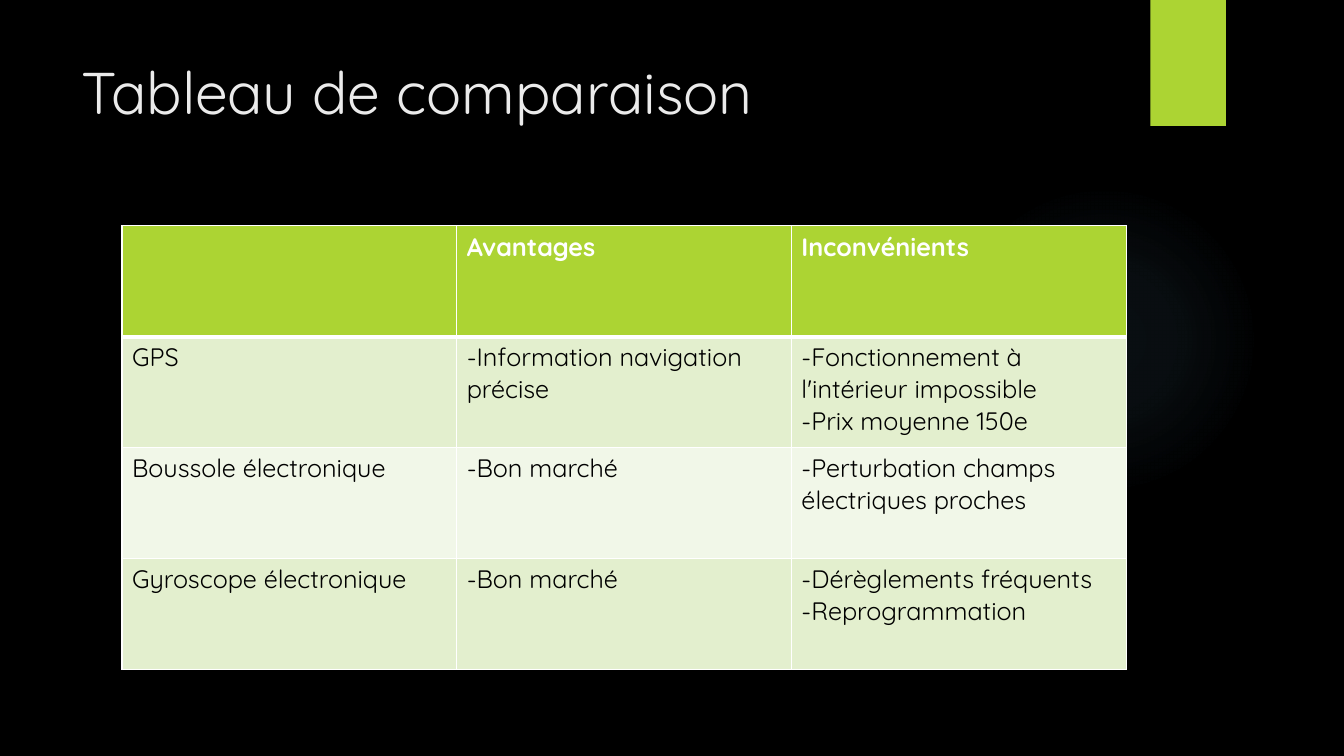
from dataclasses import dataclass

from lxml.etree import SubElement
from pptx import Presentation
from pptx.dml.color import RGBColor as RGB
from pptx.enum.shapes import MSO_SHAPE as Shape
from pptx.enum.text import MSO_ANCHOR as Anchor, PP_ALIGN as Align
from pptx.oxml import parse_xml
from pptx.oxml.ns import nsdecls, qn
from pptx.util import Inches, Pt


@dataclass(frozen=True)
class Theme:
    font: str = "Quicksand"
    back: str = "000000"
    title: str = "EBEBEB"
    accent: str = "ACD433"
    glow: str = "7AC4F0"
    head: str = "FFFFFF"
    body: str = "000000"
    line: str = "FFFFFF"
    bands: tuple = ("E3EFCE", "F1F7E8")
    big: int = 42
    small: int = 18
    thin: int = 1
    thick: int = 3


THEME = Theme()

ROWS = [
    ["", "Avantages", "Inconvénients"],
    ["GPS", "-Information navigation précise",
     "-Fonctionnement à l'intérieur impossible\n-Prix moyenne 150e"],
    ["Boussole électronique", "-Bon marché",
     "-Perturbation champs électriques proches"],
    ["Gyroscope électronique", "-Bon marché",
     "-Dérèglements fréquents\n-Reprogrammation"],
]


def write(frame, text, size, color, bold=False):
    for i, line in enumerate(text.split("\n")):
        para = frame.paragraphs[0] if i == 0 else frame.add_paragraph()
        para.alignment = Align.LEFT
        run = para.add_run()
        run.text = line
        font = run.font
        font.name, font.size, font.bold = THEME.font, Pt(size), bold
        font.color.rgb = RGB.from_string(color)


def add_plain(slide, kind, box):
    shape = slide.shapes.add_shape(kind, *map(Inches, box))
    shape.shadow.inherit = False
    shape.line.fill.background()
    return shape


def add_glow(slide, box):
    """Add a round halo that fades out from its centre."""
    shape = add_plain(slide, Shape.OVAL, box)
    stops = "".join(
        f'<a:gs pos="{pos * 1000}"><a:srgbClr val="{THEME.glow}">'
        f'<a:alpha val="{alpha * 1000}"/></a:srgbClr></a:gs>'
        for pos, alpha in ((0, 7), (36, 6), (69, 0), (100, 0)))
    grad = parse_xml(
        f'<a:gradFill {nsdecls("a")}><a:gsLst>{stops}</a:gsLst>'
        '<a:path path="circle"><a:fillToRect l="50000" t="50000" '
        'r="50000" b="50000"/></a:path></a:gradFill>')
    shape.element.spPr.find(qn("a:prstGeom")).addnext(grad)


def add_tab(slide, box):
    shape = add_plain(slide, Shape.RECTANGLE, box)
    shape.fill.solid()
    shape.fill.fore_color.rgb = RGB.from_string(THEME.accent)


def add_title(slide, box, text):
    title = slide.shapes.title
    title.left, title.top, title.width, title.height = map(Inches, box)
    title.text_frame.vertical_anchor = Anchor.TOP
    title.text_frame.word_wrap = True
    write(title.text_frame, text, THEME.big, THEME.title)


def add_edges(cell, row):
    """Draw the cell borders, with a thick rule below the header."""
    props = cell._tc.get_or_add_tcPr()
    for side in "LRTB":
        thick = (side, row) in (("B", 0), ("T", 1))
        width = THEME.thick if thick else THEME.thin
        edge = SubElement(props, qn(f"a:ln{side}"), w=str(Pt(width)))
        fill = SubElement(edge, qn("a:solidFill"))
        SubElement(fill, qn("a:srgbClr"), val=THEME.line)


def add_grid(slide, box, rows):
    frame = slide.shapes.add_table(
        len(rows), len(rows[0]), *map(Inches, box))
    for r, texts in enumerate(rows):
        head = r == 0
        tint = THEME.accent if head else THEME.bands[(r - 1) % 2]
        color = THEME.head if head else THEME.body
        for c, text in enumerate(texts):
            cell = frame.table.cell(r, c)
            add_edges(cell, r)
            cell.fill.solid()
            cell.fill.fore_color.rgb = RGB.from_string(tint)
            if text:
                write(cell.text_frame, text, THEME.small, color, head)


def main():
    deck = Presentation()
    deck.slide_width, deck.slide_height = Inches(13.33), Inches(7.5)
    slide = deck.slides.add_slide(deck.slide_layouts[5])
    slide.background.fill.solid()
    slide.background.fill.fore_color.rgb = RGB.from_string(THEME.back)
    add_glow(slide, (9.41, 1.83, 3.08, 3.08))
    add_tab(slide, (11.41, 0, 0.75, 1.25))
    add_title(slide, (0.71, 0.5, 10.29, 1.53), "Tableau de comparaison")
    add_grid(slide, (1.21, 2.24, 9.96, 4.4), ROWS)
    deck.save("out.pptx")


if __name__ == "__main__":
    main()
